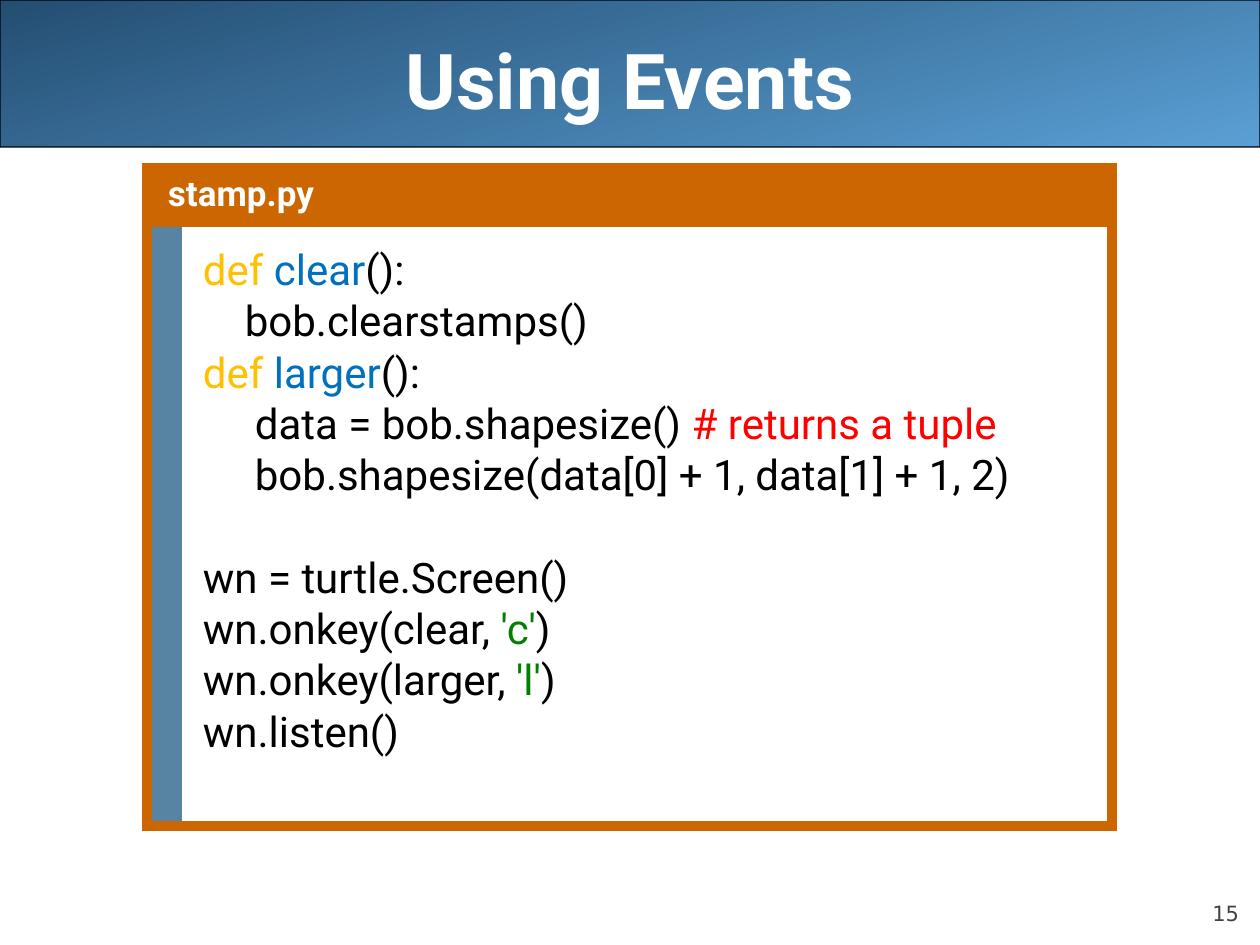
"""Build the slide "Using Events" with a framed code listing."""
from lxml.etree import SubElement
from pptx import Presentation
from pptx.dml.color import RGBColor
from pptx.enum.shapes import MSO_SHAPE as Shape
from pptx.enum.text import MSO_ANCHOR as Anchor, PP_ALIGN as Align
from pptx.oxml.ns import qn
from pptx.util import Emu, Pt

PX = 914400 // 126
COLORS = {
    "dark": "244E72", "light": "5A9FD4", "frame": "CC6600", "gutter": "5784A3",
    "white": "FFFFFF", "text": "000000", "keyword": "FFC000", "name": "0070C0",
    "comment": "FF0000", "string": "008000", "number": "424242",
}
TITLE = "Using Events"
FILE_NAME = "stamp.py"
PAGE_NUMBER = "15"
CODE = [
    (0, [("def ", "keyword"), ("clear", "name"), ("():", "text")]),
    (42, [("bob.clearstamps()", "text")]),
    (0, [("def ", "keyword"), ("larger", "name"), ("():", "text")]),
    (52, [("data = bob.shapesize() ", "text"), ("# returns a tuple", "comment")]),
    (52, [("bob.shapesize(data[0] + 1, data[1] + 1, 2)", "text")]),
    (0, [("wn = turtle.Screen()", "text")]),
    (0, [("wn.onkey(clear, ", "text"), ("'c'", "string"), (")", "text")]),
    (0, [("wn.onkey(larger, ", "text"), ("'l'", "string"), (")", "text")]),
    (0, [("wn.listen()", "text")]),
]
SECTION_START = 5
COLUMNS = (35, 930)
ROWS = (50, 604)
MARGIN_LEFT = 15


def px(*lengths):
    return [Emu(length * PX) for length in lengths]


def rgb(name):
    return RGBColor.from_string(COLORS[name])


def style(font, face, size, color=None, bold=False):
    font.name, font.size, font.bold = face, Pt(size), bold
    if color:
        font.color.rgb = rgb(color)


def add_text(page, place, text, align, anchor, font):
    frame = page.shapes.add_textbox(*px(*place)).text_frame
    frame.word_wrap = True
    frame.vertical_anchor = anchor
    frame.margin_left = frame.margin_right = frame.margin_top = frame.margin_bottom = 0
    para = frame.paragraphs[0]
    para.text, para.alignment = text, align
    style(para.font, *font)


def add_banner(page):
    banner = page.shapes.add_shape(Shape.ROUNDED_RECTANGLE, *px(0, 0, 1260, 147))
    banner.adjustments[0] = 0.001
    banner.shadow.inherit = False
    banner.fill.gradient()
    banner.fill.gradient_angle = 285
    for stop, color in zip(banner.fill.gradient_stops, ("dark", "light")):
        stop.color.rgb = rgb(color)
    banner.line.color.rgb = rgb("text")
    banner.line.width = Pt(0.75)


def paint_cell(cell, color, sides, margins):
    cell.fill.solid()
    cell.fill.fore_color.rgb = rgb(color)
    cell.margin_left, cell.margin_top, cell.margin_right, cell.margin_bottom = px(*margins)
    properties = cell._tc.get_or_add_tcPr()
    for index, side in enumerate("LRTB"):
        line = SubElement(properties, qn(f"a:ln{side}"), w=str(Pt(6)))
        if side in sides:
            fill = SubElement(line, qn("a:solidFill"))
            SubElement(fill, qn("a:srgbClr"), val=COLORS["frame"])
        else:
            SubElement(line, qn("a:noFill"))
        properties.insert(index, line)


def indent(para, length):
    properties = para._p.get_or_add_pPr()
    properties.set("marL", str(length * PX))
    properties.set("indent", "0")


def add_listing(page):
    place = px(147, 168, sum(COLUMNS), sum(ROWS))
    table = page.shapes.add_table(len(ROWS), len(COLUMNS), *place).table
    for column, width in zip(table.columns, px(*COLUMNS)):
        column.width = width
    for row, height in zip(table.rows, px(*ROWS)):
        row.height = height
    header, header_end = table.cell(0, 0), table.cell(0, 1)
    gutter, body = table.cell(1, 0), table.cell(1, 1)
    header.merge(header_end)
    for cell in (header, header_end):
        paint_cell(cell, "frame", "LRTB", (6, 6, 6, 6))
    paint_cell(gutter, "gutter", "LTB", (6, 6, 6, 6))
    paint_cell(body, "white", "RTB", (6, 29, 23, 29))

    para = header.text_frame.paragraphs[0]
    para.text = FILE_NAME
    indent(para, MARGIN_LEFT)
    style(para.font, "Roboto", 20, "white", True)

    frame = body.text_frame
    for number, (depth, spans) in enumerate(CODE):
        para = frame.add_paragraph() if number else frame.paragraphs[0]
        para.line_spacing = 0.87
        para.space_before = Pt(34 if number == SECTION_START else 4.8)
        indent(para, MARGIN_LEFT + depth)
        style(para.font, "Roboto", 24)
        for text, color in spans:
            span = para.add_run()
            span.text = text
            span.font.color.rgb = rgb(color)


def main():
    deck = Presentation()
    deck.slide_width, deck.slide_height = px(1260, 945)
    page = deck.slides.add_slide(deck.slide_layouts[6])
    add_banner(page)
    add_text(page, (1134, 876, 105, 50), PAGE_NUMBER, Align.RIGHT, Anchor.BOTTOM,
             ("DejaVu Sans", 12, "number"))
    add_text(page, (63, 0, 1134, 158), TITLE, Align.CENTER, Anchor.MIDDLE,
             ("Roboto", 44, "white", True))
    add_listing(page)
    deck.save("out.pptx")


if __name__ == "__main__":
    main()
